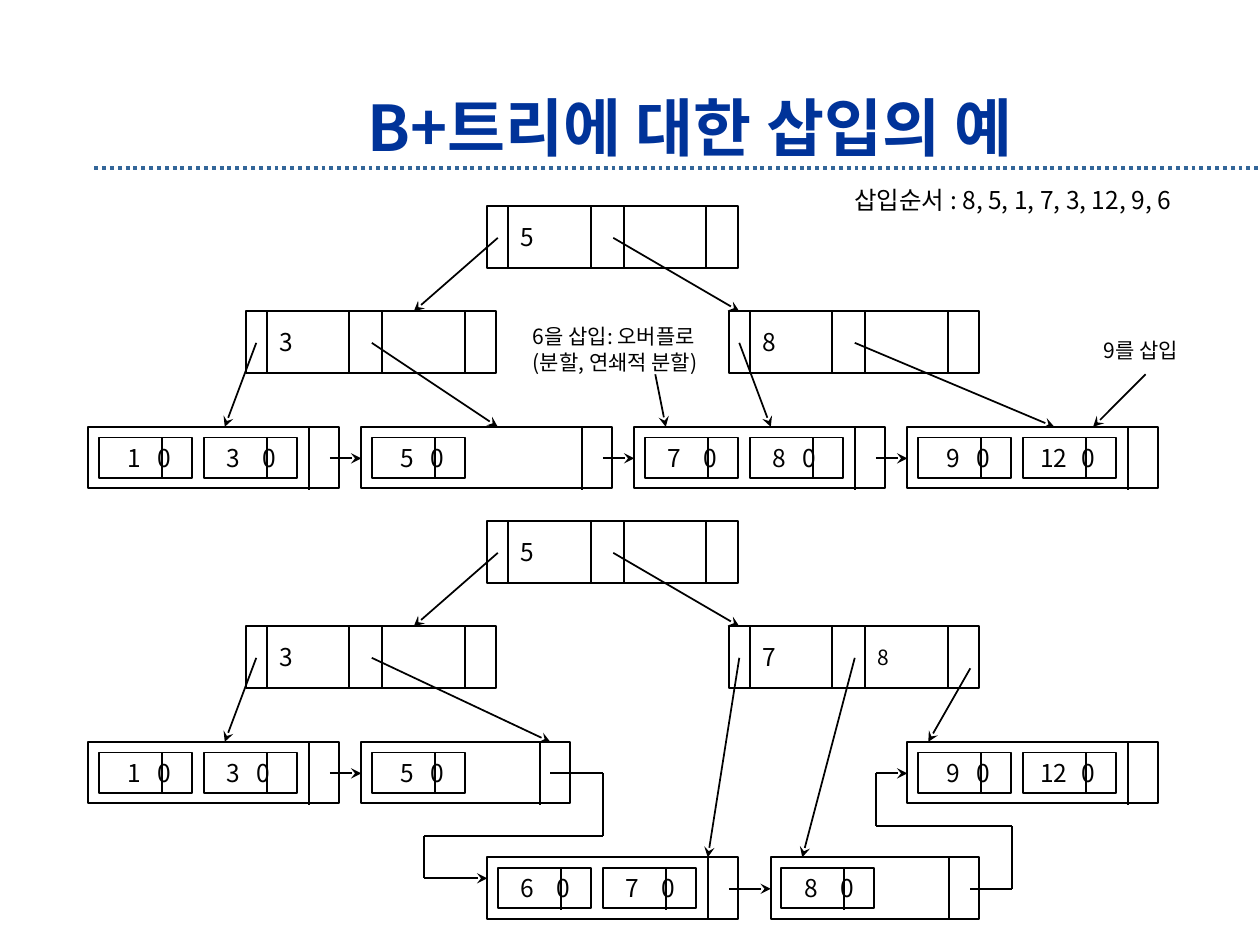
from dataclasses import dataclass
from itertools import pairwise

from lxml import etree
from pptx import Presentation
from pptx.dml.color import RGBColor
from pptx.enum.dml import MSO_LINE
from pptx.enum.shapes import MSO_CONNECTOR, MSO_SHAPE
from pptx.enum.text import MSO_ANCHOR, MSO_AUTO_SIZE, PP_ALIGN
from pptx.oxml.ns import qn
from pptx.util import Cm, Pt

RECTANGLE, STRAIGHT = MSO_SHAPE.RECTANGLE, MSO_CONNECTOR.STRAIGHT
TOP, MIDDLE = MSO_ANCHOR.TOP, MSO_ANCHOR.MIDDLE
LEFT, CENTER = PP_ALIGN.LEFT, PP_ALIGN.CENTER
DOTTED, NO_FIT = MSO_LINE.ROUND_DOT, MSO_AUTO_SIZE.NONE


@dataclass(frozen=True)
class Theme:
    """Colours, font and sizes of the slide."""
    ink: RGBColor = RGBColor(0, 0, 0)
    paper: RGBColor = RGBColor(255, 255, 255)
    title: RGBColor = RGBColor(0x00, 0x33, 0x99)
    rule: RGBColor = RGBColor(0x33, 0x66, 0x99)
    font: str = "Noto Sans CJK KR"
    title_size: int = 36
    text_size: int = 14
    small_size: int = 12


THEME = Theme()

# Content. Columns and rows count grid steps from the first leaf and first root.
TITLE = "B+트리에 대한 삽입의 예"
NOTES = [  # paragraphs, left, top, width, height in cm, size, wraps
    (["6을 삽입: 오버플로", "(분할, 연쇄적 분할)"],
     10.49, 6.4, 4.19, 1.27, THEME.small_size, True),
    (["9를 삽입"], 22, 6.68, 2.18, 0.76, THEME.small_size, False),
    (["삽입순서 : 8, 5, 1, 7, 3, 12, 9, 6"],
     16.97, 3.61, 7.29, 0.84, THEME.text_size, True),
]
# Entries hold key, key offset and pointer offset in cm.
ONE, THREE, FIVE = ("1", 0.32, 0.94), ("3", 0.21, 0.94), ("5", 0.32, 0.94)
SIX, SEVEN, EIGHT = ("6", 0.21, 0.94), ("7", 0.21, 0.94), ("8", 0.21, 0.82)
NINE, TWELVE = ("9", 0.32, 0.94), ("12", 0.1, 0.94)
SHARED_PATHS = [
    [(39, 3), (31, 10)], [(50, 3), (62, 10)],
    [(16, 13), (13, 21)], [(23, 24), (26, 24)],
]
TREES = [
    {
        "row": 0,
        "nodes": [(38, 0, ["5"]), (15, 10, ["3"]), (61, 10, ["8"])],
        "leaves": [
            (0, 21, 24, [ONE, THREE]), (26, 21, 24, [FIVE]),
            (52, 21, 24, [SEVEN, EIGHT]), (78, 21, 24, [NINE, TWELVE]),
        ],
        "paths": SHARED_PATHS + [
            [(27, 13), (39, 21)], [(62, 13), (65, 21)], [(73, 13), (92, 21)],
            [(49, 24), (52, 24)], [(75, 24), (78, 24)],
            [(54, 16), (55, 21)], [(100.7, 16), (95.7, 21)],
        ],
    },
    {
        "row": 30,
        "nodes": [(38, 0, ["5"]), (15, 10, ["3"]), (61, 10, ["7", "8"])],
        "leaves": [
            (0, 21, 24, [ONE, ("3", 0.21, 0.82)]), (26, 21, 20, [FIVE]),
            (78, 21, 24, [NINE, TWELVE]), (38, 32, 24, [SIX, SEVEN]),
            (65, 32, 20, [("8", 0.21, 0.94)]),
        ],
        "paths": SHARED_PATHS + [
            [(27, 13), (44, 21)], [(62, 13), (59, 32)], [(73, 13), (68, 32)],
            [(84, 14), (80, 21)], [(61, 35), (65, 35)],
            [(44, 24), (49, 24), (49, 30), (32, 30), (32, 34), (38, 34)],
            [(84, 35), (88, 35), (88, 29), (75, 29), (75, 24), (78, 24)],
        ],
    },
]
STEP = 2.54 / 12
ORIGIN_X, ORIGIN_Y = 1.78, 4.16


def grid(column, row):
    """Return the position of a grid point."""
    return Cm(ORIGIN_X + column * STEP), Cm(ORIGIN_Y + row * STEP)


def write(shape, lines, size=THEME.text_size, color=THEME.ink, bold=False,
          align=LEFT, anchor=MIDDLE, wrap=False, inset=0.25, spacing=None, tab=None):
    """Put formatted paragraphs into a shape."""
    frame = shape.text_frame
    frame.auto_size = NO_FIT
    frame.word_wrap = wrap
    frame.vertical_anchor = anchor
    frame.margin_left, frame.margin_right = Cm(inset), Cm(0.1 if tab else 0.25)
    frame.margin_top = frame.margin_bottom = Cm(0.13)
    for index, line in enumerate(lines):
        para = frame.add_paragraph() if index else frame.paragraphs[0]
        para.alignment = align
        if spacing:
            para.line_spacing = spacing
        if tab:
            stops = etree.SubElement(para._p.get_or_add_pPr(), qn("a:tabLst"))
            etree.SubElement(stops, qn("a:tab"), pos=str(Cm(tab)), algn="l")
        span = para.add_run()
        span.text = line
        span.font.name, span.font.size = THEME.font, Pt(size)
        span.font.bold, span.font.color.rgb = bold, color
        for tag in ("a:ea", "a:cs"):
            etree.SubElement(span._r.get_or_add_rPr(), qn(tag), typeface=THEME.font)


def add_line(page, start, end, color=THEME.ink, width=1, arrow=False):
    """Draw a straight line, with an arrowhead at its end if asked."""
    line = page.shapes.add_connector(STRAIGHT, *start, *end)
    line.line.color.rgb, line.line.width = color, Pt(width)
    if arrow:
        etree.SubElement(line.line._get_or_add_ln(), qn("a:tailEnd"), type="stealth")
    etree.SubElement(line._element.spPr, qn("a:effectLst"))
    return line


def add_box(page, column, row, columns, rows):
    """Draw an outlined rectangle, a little smaller than its grid area."""
    size = Cm((columns - 0.14) * STEP), Cm((rows - 0.14) * STEP)
    box = page.shapes.add_shape(RECTANGLE, *grid(column, row), *size)
    box.shadow.inherit = False
    box.fill.solid()
    box.fill.fore_color.rgb = THEME.paper
    box.line.color.rgb, box.line.width = THEME.ink, Pt(1)
    return box


def add_node(page, column, row, keys):
    """Draw an index node with two key fields."""
    add_box(page, column, row, 24, 6)
    for index in range(2):
        box = add_box(page, column + 2 + 11 * index, row, 8, 6)
        if index < len(keys):
            write(box, [keys[index]], size=THEME.small_size if index else THEME.text_size)


def add_leaf(page, column, row, columns, entries):
    """Draw a leaf with its entries and its link field."""
    add_box(page, column, row, columns, 6)
    for index, (key, offset, pointer) in enumerate(entries):
        left = column + 1 + 10 * index
        box = add_box(page, left, row + 1, 9, 4)
        write(box, [f"{key}\t0"], wrap=True, inset=0.25 + offset, tab=pointer - offset)
        add_line(page, grid(left + 6, row + 1), grid(left + 6, row + 5))
    link = column + columns - 3
    add_line(page, grid(link, row), grid(link, row + 6))


def add_tree(page, tree):
    """Draw one tree: nodes, leaves, then pointers."""
    base = tree["row"]
    for column, row, keys in tree["nodes"]:
        add_node(page, column, base + row, keys)
    for column, row, columns, entries in tree["leaves"]:
        add_leaf(page, column, base + row, columns, entries)
    for points in tree["paths"]:
        places = [grid(column, base + row) for column, row in points]
        for start, end in pairwise(places):
            add_line(page, start, end, arrow=end == places[-1])


def main():
    """Build the slide and save it."""
    deck = Presentation()
    deck.slide_width, deck.slide_height = Cm(25.4), Cm(19.05)
    page = deck.slides.add_slide(deck.slide_layouts[5])
    title = page.shapes.title
    title.left, title.top, title.width, title.height = Cm(5.77), Cm(1.19), Cm(16.28), Cm(1.6)
    write(title, [TITLE], size=THEME.title_size, color=THEME.title, bold=True,
          align=CENTER, anchor=TOP, wrap=True, spacing=1.3)
    rule = add_line(page, (Cm(1.9), Cm(3.38)), (Cm(25.4), Cm(3.38)), THEME.rule, 2.25)
    rule.line.dash_style = DOTTED
    for tree in TREES:
        add_tree(page, tree)
    for lines, left, top, width, height, size, wrap in NOTES:
        note = page.shapes.add_textbox(Cm(left), Cm(top), Cm(width), Cm(height))
        write(note, lines, size=size, anchor=TOP, wrap=wrap)
    deck.save("out.pptx")


main()
